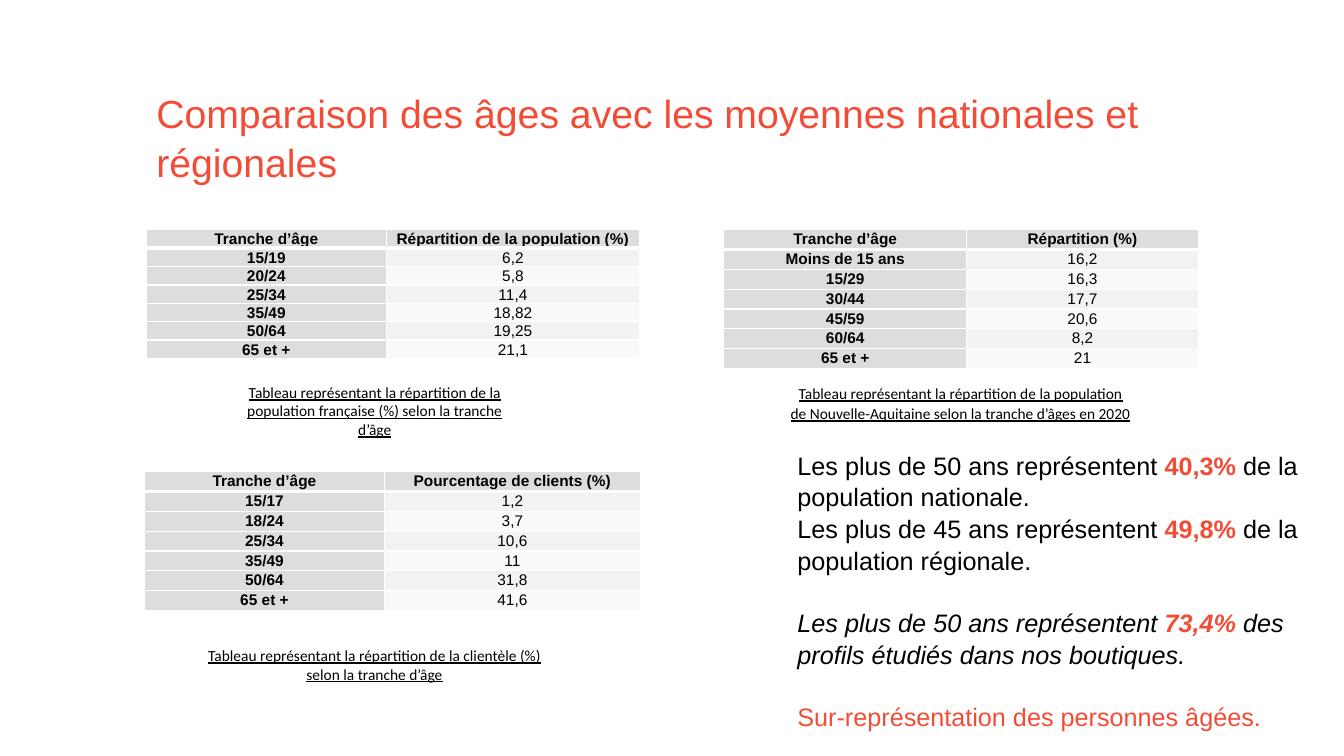
from dataclasses import dataclass
from lxml import etree
from pptx import Presentation
from pptx.dml.color import RGBColor
from pptx.enum.text import MSO_ANCHOR, MSO_AUTO_SIZE, PP_ALIGN
from pptx.oxml.ns import qn
from pptx.util import Inches, Pt

CENTER, LEFT = PP_ALIGN.CENTER, PP_ALIGN.LEFT
TOP, MIDDLE = MSO_ANCHOR.TOP, MSO_ANCHOR.MIDDLE
GROW, FIXED = MSO_AUTO_SIZE.SHAPE_TO_FIT_TEXT, MSO_AUTO_SIZE.NONE


@dataclass(frozen=True)
class Theme:
    accent: str = "F24C36"
    ink: str = "000000"
    line: str = "FFFFFF"
    head: str = "DDDDDD"
    bands: tuple = ("F9F9F9", "F2F2F2")
    font: str = "Arial"
    caption_font: str = "Calibri"
    title: int = 28
    body: int = 18
    small: int = 11
    leading: float = 1.05
    table_leading: float = 1.07


T = Theme()
prs = Presentation()
prs.slide_width, prs.slide_height = Inches(13.33), Inches(7.5)
SLIDE = (0, 0, prs.slide_width, prs.slide_height)


def part(box, x, y, w, h):
    left, top, width, height = box
    return (int(left + width * x / 100), int(top + height * y / 100),
            int(width * w / 100), int(height * h / 100))


def style(r, size, color=T.ink, font=T.font, bold=False, italic=False, underline=False):
    f = r.font
    f.size, f.name, f.bold, f.italic, f.underline = Pt(size), font, bold, italic, underline
    f.color.rgb = RGBColor.from_string(color)


def add_text_frame(s, box, anchor=TOP):
    tf = s.shapes.add_textbox(*box).text_frame
    tf.word_wrap, tf.auto_size, tf.vertical_anchor = True, GROW, anchor
    return tf


def add_title(s, box, text):
    sp = s.shapes.title
    sp.left, sp.top, sp.width, sp.height = box
    tf = sp.text_frame
    tf.text = text
    tf.word_wrap, tf.auto_size, tf.vertical_anchor = True, FIXED, MIDDLE
    p = tf.paragraphs[0]
    p.alignment, p.line_spacing = LEFT, T.leading
    style(p.runs[0], T.title, T.accent)


def add_border(cell, row):
    tcPr = cell._tc.get_or_add_tcPr()
    thick = {0: "B", 1: "T"}.get(row)
    for side in "LRTB":
        width = Pt(3 if side == thick else 1)
        ln = etree.SubElement(tcPr, qn(f"a:ln{side}"), w=str(width))
        fill = etree.SubElement(ln, qn("a:solidFill"))
        etree.SubElement(fill, qn("a:srgbClr"), val=T.line)


def add_age_table(s, box, rows, first_share):
    table = s.shapes.add_table(len(rows), 2, *box).table
    first = int(box[2] * first_share / 100)
    table.columns[0].width, table.columns[1].width = first, box[2] - first
    for i, values in enumerate(rows):
        table.rows[i].height = box[3] // len(rows)
        for j, value in enumerate(values):
            cell = table.cell(i, j)
            label = i == 0 or j == 0
            add_border(cell, i)
            cell.fill.solid()
            cell.fill.fore_color.rgb = RGBColor.from_string(T.head if label else T.bands[i % 2])
            cell.margin_left = cell.margin_right = Inches(0.07)
            cell.margin_top = cell.margin_bottom = 0
            p = cell.text_frame.paragraphs[0]
            p.text = value
            p.alignment, p.line_spacing = CENTER, T.table_leading
            style(p.runs[0], T.small, bold=label)


def add_caption(s, box, text, anchor, leading):
    p = add_text_frame(s, box, anchor).paragraphs[0]
    p.text = text
    p.alignment, p.line_spacing = CENTER, leading
    style(p.runs[0], T.small, font=T.caption_font, underline=True)


def add_panel(s, box, rows, first_share, table_share, caption, caption_at, anchor=TOP, leading=1.0):
    add_age_table(s, part(box, 0, 0, 100, table_share), rows, first_share)
    add_caption(s, part(box, *caption_at), caption, anchor, leading)


def add_findings(s, box, findings):
    tf = add_text_frame(s, box)
    for i, (before, figure, after, italic, gap) in enumerate(findings):
        p = tf.paragraphs[0] if i == 0 else tf.add_paragraph()
        p.line_spacing, p.space_before = T.leading, Pt(gap)
        for text, strong in ((before, False), (figure, True), (after, False)):
            if text:
                r = p.add_run()
                r.text = text
                color = T.accent if strong or not figure else T.ink
                style(r, T.body, color, bold=strong, italic=italic)


POPULATION = [
    ("Tranche d’âge", "Répartition de la population (%)"), ("15/19", "6,2"), ("20/24", "5,8"),
    ("25/34", "11,4"), ("35/49", "18,82"), ("50/64", "19,25"), ("65 et +", "21,1")]
CLIENTS = [
    ("Tranche d’âge", "Pourcentage de clients (%)"), ("15/17", "1,2"), ("18/24", "3,7"),
    ("25/34", "10,6"), ("35/49", "11"), ("50/64", "31,8"), ("65 et +", "41,6")]
REGION = [
    ("Tranche d’âge", "Répartition (%)"), ("Moins de 15 ans", "16,2"), ("15/29", "16,3"),
    ("30/44", "17,7"), ("45/59", "20,6"), ("60/64", "8,2"), ("65 et +", "21")]
LINE = 21.7
FINDINGS = [
    ("Les plus de 50 ans représentent ", "40,3%", " de la population nationale.", False, 0),
    ("Les plus de 45 ans représentent ", "49,8%", " de la population régionale.", False, 0),
    ("Les plus de 50 ans représentent ", "73,4%", " des profils étudiés dans nos boutiques.", True, LINE),
    ("Sur-représentation des personnes âgées.", "", "", False, LINE)]

s = prs.slides.add_slide(prs.slide_layouts[5])
add_title(s, part(SLIDE, 10.88, 10.53, 76.74, 14.93),
          "Comparaison des âges avec les moyennes nationales et régionales")
add_panel(s, part(SLIDE, 10.88, 30.4, 36.7, 28.4), POPULATION, 48.7, 60,
          "Tableau représentant la répartition de la population française (%) selon la tranche d’âge",
          (16.8, 69, 59.1, 31))
add_panel(s, part(SLIDE, 10.75, 62.4, 36.9, 28.67), CLIENTS, 48.4, 59.5,
          "Tableau représentant la répartition de la clientèle (%) selon la tranche d’âge",
          (9.7, 78.1, 73.4, 21.9), MIDDLE)
add_panel(s, part(SLIDE, 53.86, 30.4, 35.3, 26.13), REGION, 51.2, 70,
          "Tableau représentant la répartition de la population de Nouvelle-Aquitaine "
          "selon la tranche d’âges en 2020",
          (11.7, 75, 76.4, 25), leading=T.table_leading)
add_findings(s, part(SLIDE, 58.59, 58.67, 39.38, 37.73), FINDINGS)
prs.save("out.pptx")
